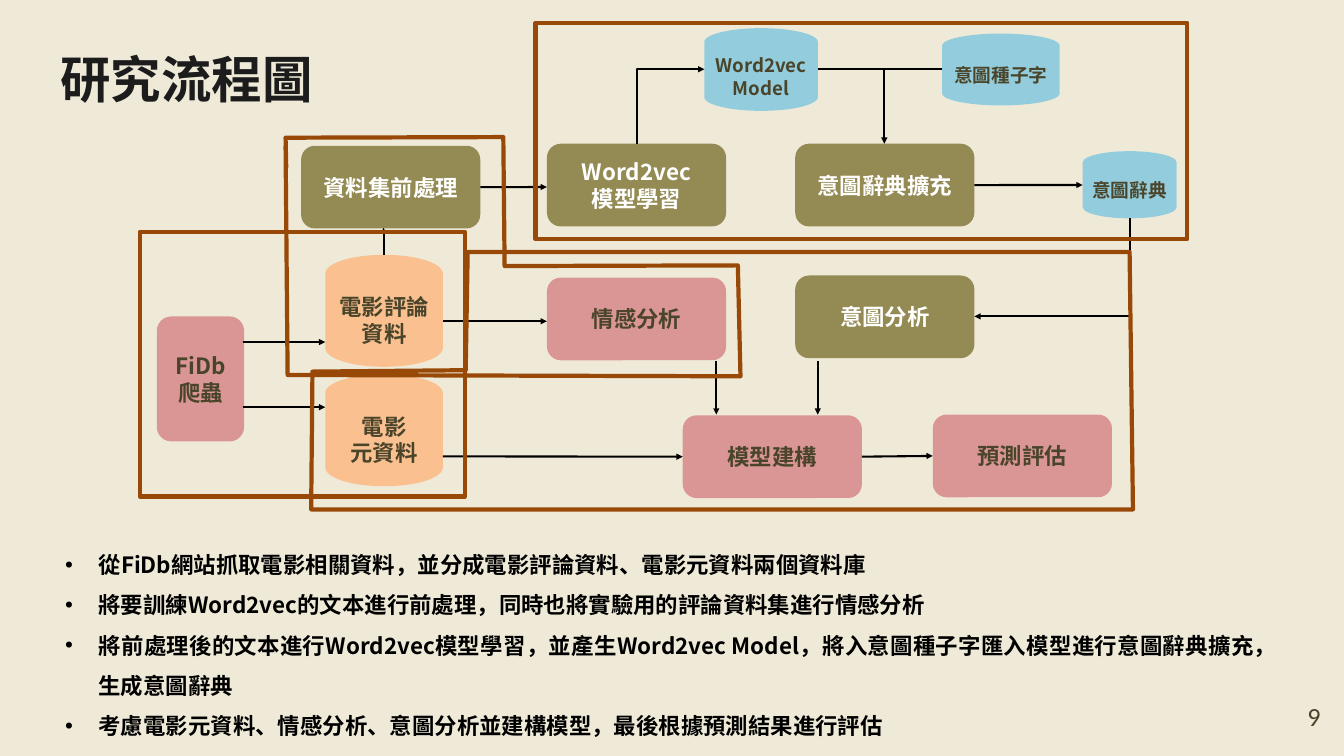
from typing import NamedTuple, Optional

from lxml.etree import SubElement
from pptx import Presentation
from pptx.dml.color import RGBColor
from pptx.enum.shapes import MSO_CONNECTOR, MSO_SHAPE
from pptx.enum.text import MSO_ANCHOR, PP_ALIGN
from pptx.oxml.ns import qn
from pptx.util import Pt

FONT = "Noto Sans CJK SC"
BACKGROUND, TITLE, DARK, WHITE, BLACK = "EFEAD8", "1C1C1C", "4A452A", "FFFFFF", "000000"
PINK, OLIVE, ORANGE, BLUE, FRAME = "D99694", "948A54", "FAC090", "93CDDD", "984807"
BOX_WIDTH, BOX_HEIGHT = 192, 88.6
BOX, DISK = MSO_SHAPE.ROUNDED_RECTANGLE, MSO_SHAPE.FLOWCHART_MAGNETIC_DISK


class Node(NamedTuple):
    text: str
    left: float
    top: float
    fill: str
    width: float = BOX_WIDTH
    height: float = BOX_HEIGHT
    preset: MSO_SHAPE = BOX
    color: str = DARK
    size: float = 24


class Link(NamedTuple):
    start: tuple
    end: tuple
    source: Optional[str] = None
    target: Optional[str] = None
    arrow: bool = True


class Elbow(NamedTuple):
    start: tuple
    end: tuple
    vertical_first: bool


NODES = {
    "crawler": Node("FiDb\n爬蟲", 168, 339, PINK, 93.6, 134),
    "preprocessing": Node("資料集前處理", 322.6, 156.2, OLIVE, color=WHITE),
    "training": Node("Word2vec\n模型學習", 586, 154, OLIVE, color=WHITE),
    "expansion": Node("意圖辭典擴充", 852, 154, OLIVE, color=WHITE),
    "intent": Node("意圖分析", 852, 295.2, OLIVE, color=WHITE),
    "reviews": Node("電影評論資料", 348.5, 273, ORANGE, 126, 120, DISK),
    "metadata": Node("電影\n元資料", 348.5, 401, ORANGE, 126, 120, DISK),
    "sentiment": Node("情感分析", 586, 297.4, PINK),
    "model": Node("模型建構", 731.5, 445, PINK),
    "evaluation": Node("預測評估", 999.4, 444.2, PINK),
    "embedding": Node("Word2vec Model", 754.6, 30.2, BLUE, 121.7, 88.6, DISK, size=20),
    "seeds": Node("意圖種子字", 1009.4, 36, BLUE, 126, 77, DISK, size=20),
    "dictionary": Node("意圖辭典", 1160, 162, BLUE, 100.8, 72, DISK, size=20),
}
LINKS = [
    Link((260, 366.5), (348.5, 366.5)),
    Link((260, 436.3), (348.5, 436.3)),
    Link((411, 273), (411, 244)),
    Link((474.5, 344.2), (586, 344.2)),
    Link((474.5, 489), (731.5, 489), target="model"),
    Link((767.5, 386.6), (767.5, 444.2)),
    Link((876.2, 386.6), (876.2, 444.2)),
    Link((923.5, 488.5), (999.4, 488.5), "model", "evaluation"),
    Link((514.6, 200.4), (586, 200.4), source="preprocessing"),
    Link((1044, 198.2), (1160, 198.2), source="expansion"),
    Link((947.5, 74.2), (1009.4, 74.2), arrow=False),
]
ELBOWS = [
    Elbow((682, 154), (754.6, 74.2), True),
    Elbow((876.2, 74.2), (947.5, 154), False),
    Elbow((1210.3, 234), (1044, 339), True),
]
RECTANGLE_FRAMES = [(149.8, 248.4, 348.5, 283.7), (573.8, 24.5, 698.4, 231.8)]
OUTLINE_FRAMES = [
    [(306, 157), (308.2, 401.8), (793.4, 403.2), (790.6, 284.4), (540.7, 285.1),
     (539.3, 146.9), (306, 147.6), (306.7, 179.3)],
    [(334.8, 398.2), (333.4, 545.8), (1213.9, 545.8), (1210.3, 270), (501.1, 270),
     (499, 396.7)],
]
STEPS = [
    "從FiDb網站抓取電影相關資料，並分成電影評論資料、電影元資料兩個資料庫",
    "將要訓練Word2vec的文本進行前處理，同時也將實驗用的評論資料集進行情感分析",
    "將前處理後的文本進行Word2vec模型學習，並產生Word2vec Model，"
    "將入意圖種子字匯入模型進行意圖辭典擴充，生成意圖辭典",
    "考慮電影元資料、情感分析、意圖分析並建構模型，最後根據預測結果進行評估",
]


def rgb(value: str) -> RGBColor:
    return RGBColor.from_string(value)


def format_text(text_frame, size, color, alignment, font=FONT, bold=True) -> None:
    for paragraph in text_frame.paragraphs:
        paragraph.alignment = alignment
        for run in paragraph.runs:
            run.font.size = Pt(size)
            run.font.bold = bold
            run.font.name = font
            run.font.color.rgb = rgb(color)
            SubElement(run.font._element, qn("a:ea"), typeface=font)


def add_text(slide, text, left, top, width, height):
    text_frame = slide.shapes.add_textbox(Pt(left), Pt(top), Pt(width), Pt(height)).text_frame
    text_frame.word_wrap = True
    text_frame.text = text
    return text_frame


def add_node(slide, node: Node):
    shape = slide.shapes.add_shape(
        node.preset, Pt(node.left), Pt(node.top), Pt(node.width), Pt(node.height))
    shape.shadow.inherit = False
    shape.fill.solid()
    shape.fill.fore_color.rgb = rgb(node.fill)
    shape.line.fill.background()
    text_frame = shape.text_frame
    text_frame.word_wrap = True
    text_frame.vertical_anchor = MSO_ANCHOR.MIDDLE
    text_frame.text = node.text
    format_text(text_frame, node.size, node.color, PP_ALIGN.CENTER)
    return shape


def add_line(slide, kind, start, end, arrow=True):
    connector = slide.shapes.add_connector(kind, *(Pt(value) for value in (*start, *end)))
    connector.line.color.rgb = rgb(BLACK)
    connector.line.width = Pt(2.25)
    if arrow:
        SubElement(connector.line._get_or_add_ln(), qn("a:tailEnd"), type="triangle")
    SubElement(connector._element.spPr, qn("a:effectLst"))
    return connector


def add_link(slide, link: Link, shapes: dict) -> None:
    connector = add_line(slide, MSO_CONNECTOR.STRAIGHT, link.start, link.end, link.arrow)
    if link.source:
        connector.begin_connect(shapes[link.source], 3)
    if link.target:
        connector.end_connect(shapes[link.target], 1)


def add_elbow(slide, elbow: Elbow) -> None:
    """Draw a one-bend arrow; one that leaves vertically is a quarter turn of the other."""
    start, end = elbow.start, elbow.end
    if elbow.vertical_first:
        center_x, center_y = (start[0] + end[0]) / 2, (start[1] + end[1]) / 2
        start, end = [(center_x + y - center_y, center_y - x + center_x) for x, y in (start, end)]
    properties = add_line(slide, MSO_CONNECTOR.ELBOW, start, end)._element.spPr
    properties.find(qn("a:prstGeom")).set("prst", "bentConnector2")
    if elbow.vertical_first:
        properties.find(qn("a:xfrm")).set("rot", str(90 * 60000))


def style_frame(shape) -> None:
    shape.shadow.inherit = False
    shape.fill.background()
    shape.line.color.rgb = rgb(FRAME)
    shape.line.width = Pt(4.5)


def add_outline(slide, points: list) -> None:
    corners = [(Pt(x), Pt(y)) for x, y in points]
    builder = slide.shapes.build_freeform(*corners[0], scale=1.0)
    builder.add_line_segments(corners[1:], close=True)
    style_frame(builder.convert_to_shape())


def add_steps(slide) -> None:
    text_frame = add_text(slide, "\n".join(STEPS), 62.6, 572.4, 1312, 220.3)
    for paragraph in text_frame.paragraphs:
        properties = paragraph._p.get_or_add_pPr()
        properties.set("marL", str(Pt(36)))
        properties.set("indent", str(-Pt(36)))
        SubElement(properties, qn("a:buFont"), typeface="Arial")
        SubElement(properties, qn("a:buChar"), char="•")
        paragraph.line_spacing = 1.5
    format_text(text_frame, 24, BLACK, PP_ALIGN.JUSTIFY)


def main() -> None:
    presentation = Presentation()
    presentation.slide_width, presentation.slide_height = Pt(1440), Pt(810)
    slide = presentation.slides.add_slide(presentation.slide_layouts[6])
    slide.background.fill.solid()
    slide.background.fill.fore_color.rgb = rgb(BACKGROUND)

    title = add_text(slide, "研究流程圖", 64.8, 36, 276, 75.6)
    title.margin_left = title.margin_right = title.margin_top = title.margin_bottom = 0
    title.paragraphs[0].line_spacing = Pt(80)
    format_text(title, 54, TITLE, PP_ALIGN.LEFT)
    page_number = add_text(slide, "9", 1254.2, 753, 167.8, 28.8)
    page_number.vertical_anchor = MSO_ANCHOR.MIDDLE
    format_text(page_number, 28, DARK, PP_ALIGN.RIGHT, "Calibri", False)

    shapes = {name: add_node(slide, node) for name, node in NODES.items()}
    for link in LINKS:
        add_link(slide, link, shapes)
    for elbow in ELBOWS:
        add_elbow(slide, elbow)
    add_steps(slide)
    for bounds in RECTANGLE_FRAMES:
        style_frame(slide.shapes.add_shape(MSO_SHAPE.RECTANGLE, *(Pt(value) for value in bounds)))
    for points in OUTLINE_FRAMES:
        add_outline(slide, points)
    presentation.save("out.pptx")


if __name__ == "__main__":
    main()
